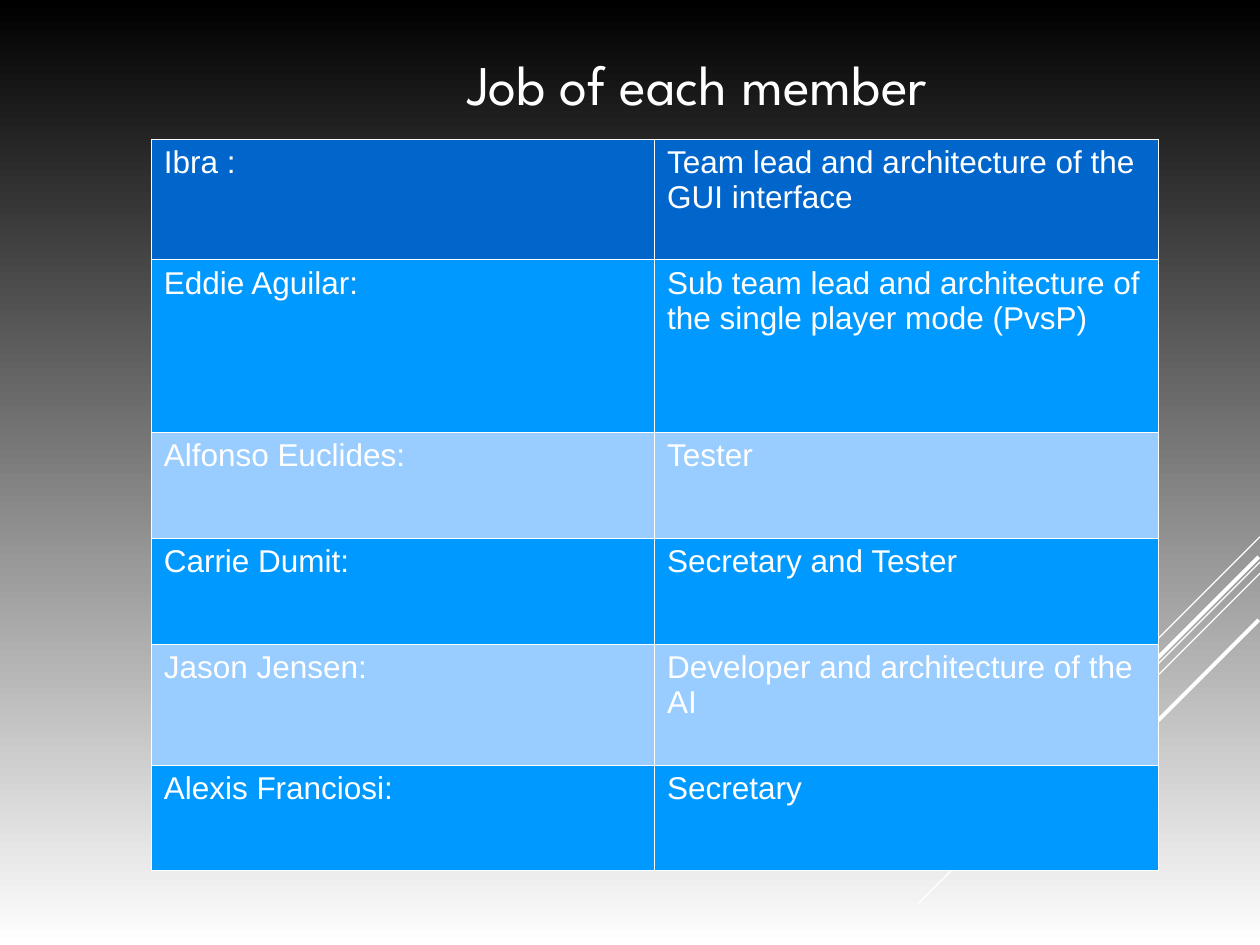
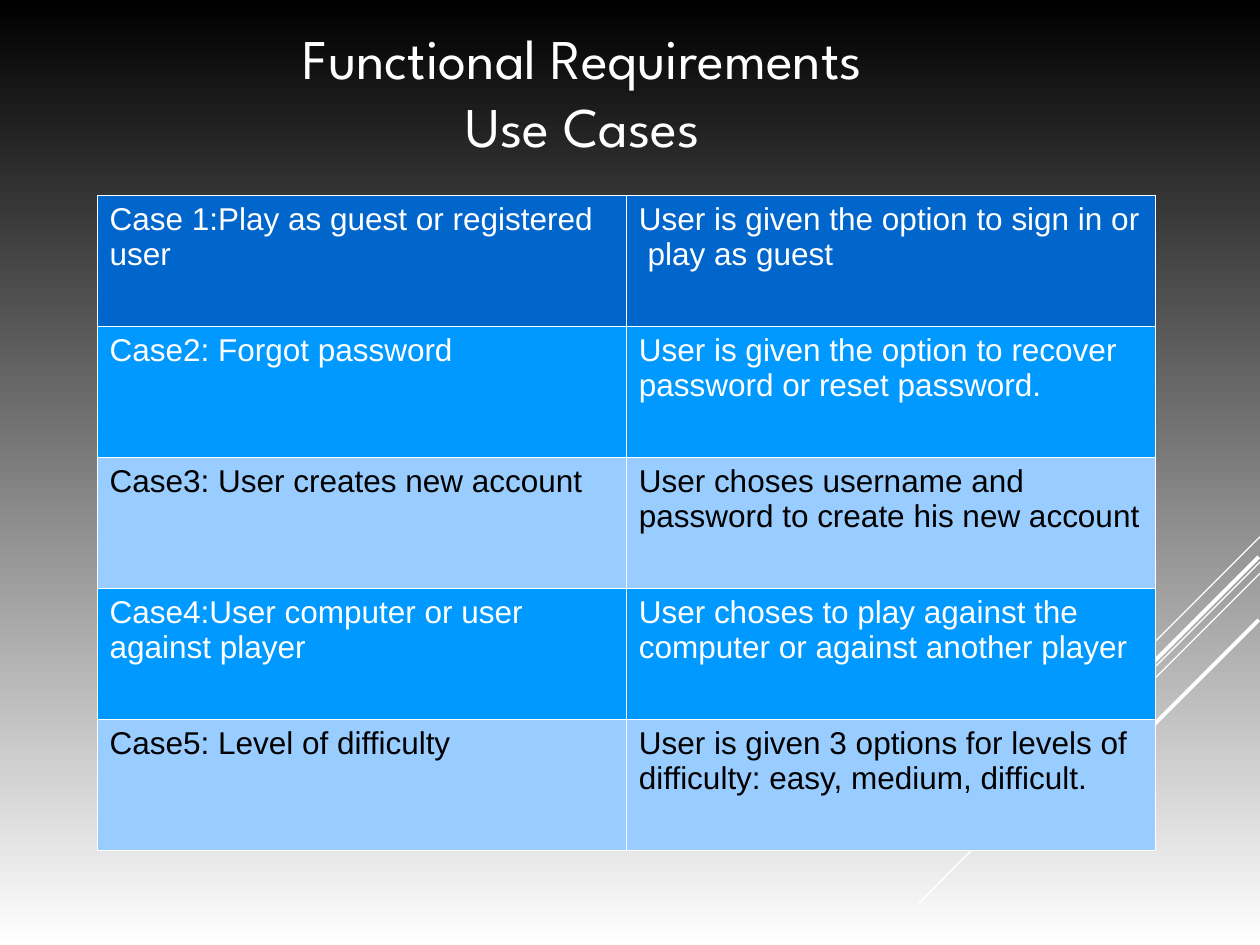
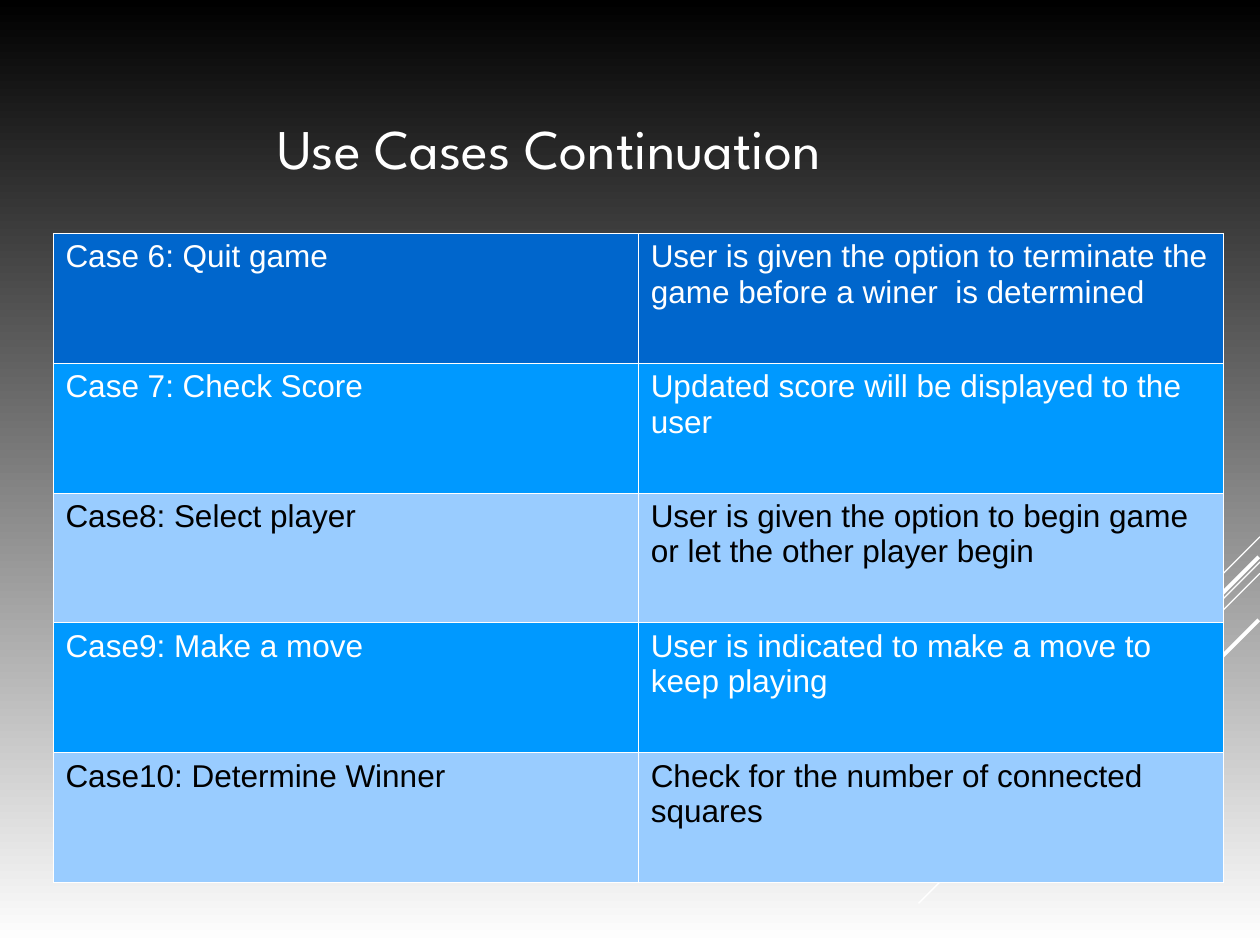
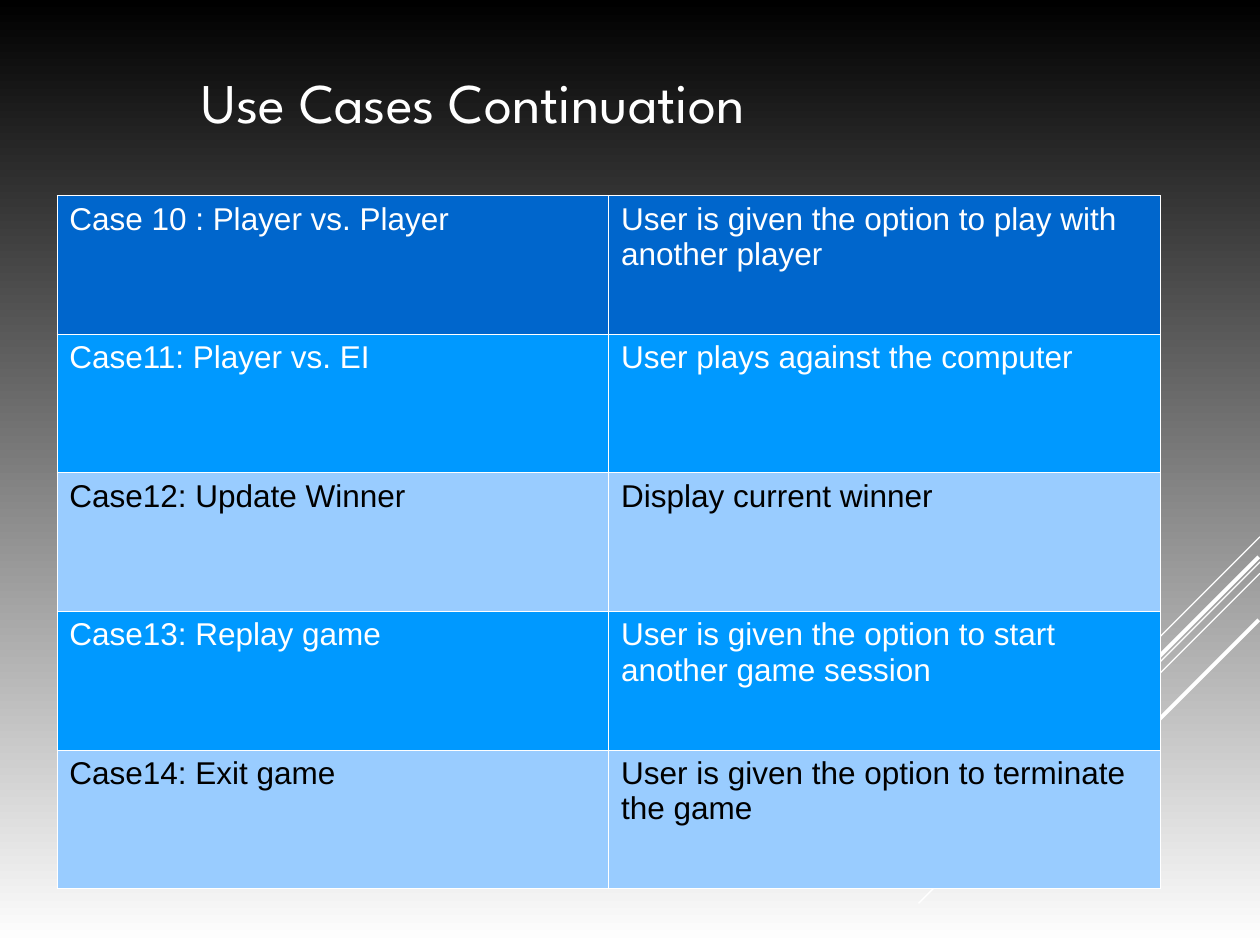
import dataclasses

import lxml.etree
import pptx
import pptx.dml.color
import pptx.enum.shapes
import pptx.enum.text
import pptx.oxml.ns
import pptx.util

Inches = pptx.util.Inches
Pt = pptx.util.Pt
qn = pptx.oxml.ns.qn
Align = pptx.enum.text.PP_ALIGN
Anchor = pptx.enum.text.MSO_ANCHOR


@dataclasses.dataclass(frozen=True)
class Theme:
    white: str = "FFFFFF"
    black: str = "000000"
    head: str = "0066CC"
    deep: str = "0099FF"
    pale: str = "99CCFF"
    title_font: str = "League Spartan"
    body_font: str = "Arial"
    title_size: float = 32
    body_size: float = 18
    thin: float = 0.75
    thick: float = 2.25
    border: float = 0.06


THEME = Theme()
TITLE_WIDTH, TITLE_HEIGHT = 7.17, 1.67
INSETS = (0.1, 0.05, 0.1, 0.05)

STREAKS = [
    (10, 4.26, 0.83, THEME.thin),
    (10, 4.46, 2.71, THEME.thin),
    (10, 4.55, 1.72, THEME.thin),
    (9.99, 4.42, 1.58, THEME.thick),
    (9.99, 4.92, 1.14, THEME.thick),
]

JOBS = [
    ("Ibra :", "Team lead and architecture of the GUI interface"),
    ("Eddie Aguilar:", "Sub team lead and architecture of the single player mode (PvsP)"),
    ("Alfonso Euclides:", "Tester"),
    ("Carrie Dumit:", "Secretary and Tester"),
    ("Jason Jensen:", "Developer and architecture of the AI"),
    ("Alexis Franciosi:", "Secretary"),
]

FIRST_CASES = [
    ("Case 1:Play as guest or registered user",
     "User is given the option to sign in or  play as guest"),
    ("Case2: Forgot password",
     "User is given the option to recover password or reset password."),
    ("Case3: User creates new account",
     "User choses username and password to create his new account"),
    ("Case4:User computer or user against player",
     "User choses to play against the computer or against another player"),
    ("Case5: Level of difficulty",
     "User is given 3 options for levels of difficulty: easy, medium, difficult."),
]

NEXT_CASES = [
    ("Case 6: Quit game",
     "User is given the option to terminate the game before a winer  is determined"),
    ("Case 7: Check Score", "Updated score will be displayed to the user"),
    ("Case8: Select player",
     "User is given the option to begin game or let the other player begin"),
    ("Case9: Make a move", "User is indicated to make a move to keep playing"),
    ("Case10: Determine Winner", "Check for the number of connected squares"),
]

LAST_CASES = [
    ("Case 10 : Player vs. Player",
     "User is given the option to play with another player"),
    ("Case11: Player vs. EI", "User plays against the computer"),
    ("Case12: Update Winner", "Display current winner"),
    ("Case13: Replay game", "User is given the option to start another game session"),
    ("Case14: Exit game", "User is given the option to terminate the game"),
]


def rgb(code):
    return pptx.dml.color.RGBColor.from_string(code)


def add_run(para, text, font, size, color):
    run = para.add_run()
    run.text = text
    run.font.name = font
    run.font.size = Pt(size)
    run.font.color.rgb = rgb(color)


def set_insets(box, insets):
    box.margin_left, box.margin_top, box.margin_right, box.margin_bottom = map(Inches, insets)


def add_backdrop(slide):
    fill = slide.background.fill
    fill.gradient()
    fill.gradient_angle = 270
    for stop, color in zip(fill.gradient_stops, (THEME.black, THEME.white)):
        stop.color.rgb = rgb(color)


def add_streaks(slide):
    group = slide.shapes.add_group_shape()
    for x, y, reach, weight in STREAKS:
        line = group.shapes.add_connector(
            pptx.enum.shapes.MSO_CONNECTOR.STRAIGHT,
            Inches(x), Inches(y), Inches(x - reach), Inches(y + reach))
        line.line.color.rgb = rgb(THEME.white)
        line.line.width = Pt(weight)
        lxml.etree.SubElement(line._element.spPr, qn("a:effectLst"))


def add_title(slide, left, top, lines, align=Align.CENTER, anchor=Anchor.TOP, insets=INSETS):
    box = slide.shapes.add_textbox(
        Inches(left), Inches(top), Inches(TITLE_WIDTH), Inches(TITLE_HEIGHT))
    frame = box.text_frame
    frame.word_wrap = True
    frame.vertical_anchor = anchor
    set_insets(frame, insets)
    para = frame.paragraphs[0]
    para.alignment = align
    for index, text in enumerate(lines):
        if index:
            para.add_line_break()
        add_run(para, text, THEME.title_font, THEME.title_size, THEME.white)


def add_border(cell):
    props = cell._tc.get_or_add_tcPr()
    for index, side in enumerate("LRTB"):
        line = lxml.etree.Element(qn(f"a:ln{side}"), w=str(Pt(THEME.border)))
        fill = lxml.etree.SubElement(line, qn("a:solidFill"))
        lxml.etree.SubElement(fill, qn("a:srgbClr"), val=THEME.white)
        props.insert(index, line)


def fill_cell(cell, text, fill, color):
    cell.fill.solid()
    cell.fill.fore_color.rgb = rgb(fill)
    set_insets(cell, INSETS)
    add_run(cell.text_frame.paragraphs[0], text, THEME.body_font, THEME.body_size, color)
    add_border(cell)


def add_grid(slide, left, top, width, heights, rows, pale_text=THEME.black):
    frame = slide.shapes.add_table(
        len(rows), 2, Inches(left), Inches(top), Inches(width), Inches(sum(heights)))
    table = frame.table
    table.first_row = table.horz_banding = False
    for column in table.columns:
        column.width = Inches(width / 2)
    for index, texts in enumerate(rows):
        table.rows[index].height = Inches(heights[index])
        if index == 0:
            fill, color = THEME.head, THEME.white
        elif index % 2:
            fill, color = THEME.deep, THEME.white
        else:
            fill, color = THEME.pale, pale_text
        for cell, text in zip(table.rows[index].cells, texts):
            fill_cell(cell, text, fill, color)


def add_slide(deck):
    slide = deck.slides.add_slide(deck.slide_layouts[6])
    add_backdrop(slide)
    add_streaks(slide)
    return slide


def main():
    deck = pptx.Presentation()
    deck.slide_width, deck.slide_height = Inches(10), Inches(7.5)

    slide = add_slide(deck)
    add_title(slide, 1.2, 0.34, ["Job of each member"], insets=(1.6, 0.05, 0.1, 0.05))
    add_grid(slide, 1.2, 1.1, 7.99, [0.96, 1.37, 0.84, 0.84, 0.96, 0.84], JOBS, THEME.white)

    slide = add_slide(deck)
    add_title(slide, 1.04, 0.14, ["Functional Requirements", "Use Cases"])
    add_grid(slide, 0.77, 1.55, 8.4, [1.04] * 5, FIRST_CASES)

    slide = add_slide(deck)
    add_title(slide, 1.43, 0.33, ["Use Cases Continuation"],
              Align.LEFT, Anchor.MIDDLE, (0.77, 0, 0, 0))
    add_grid(slide, 0.42, 1.85, 9.29, [1.03] * 5, NEXT_CASES)

    slide = add_slide(deck)
    add_title(slide, 1.6, 0.23, ["Use Cases Continuation"],
              Align.LEFT, Anchor.MIDDLE, (0, 0, 0, 0.53))
    add_grid(slide, 0.45, 1.55, 8.76, [1.1] * 5, LAST_CASES)

    deck.save("out.pptx")


if __name__ == "__main__":
    main()
